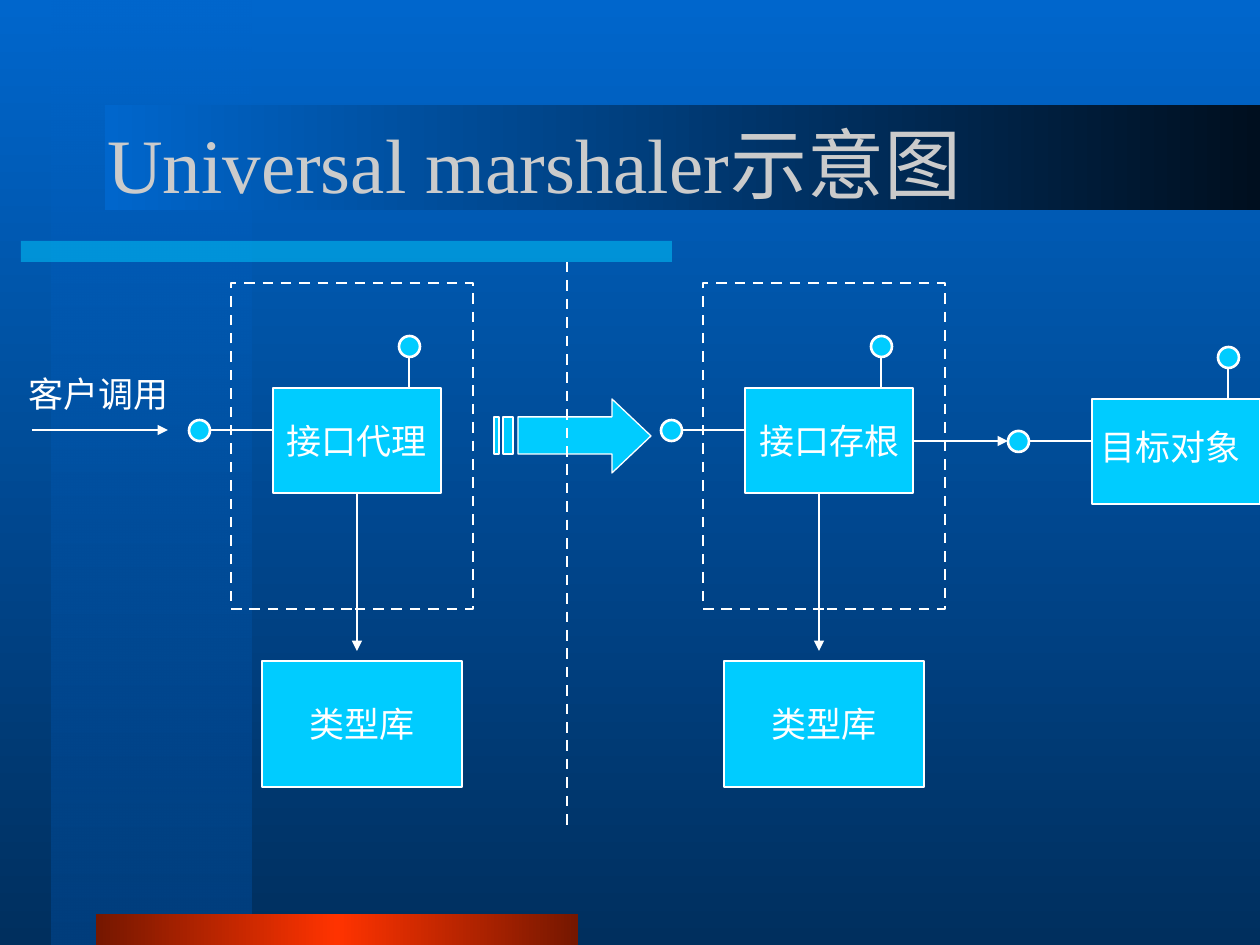
from lxml import etree
from pptx import Presentation
from pptx.dml.color import RGBColor
from pptx.enum.dml import MSO_LINE
from pptx.enum.shapes import MSO_CONNECTOR, MSO_SHAPE
from pptx.enum.text import MSO_ANCHOR, PP_ALIGN
from pptx.oxml.ns import qn
from pptx.util import Pt

RECTANGLE, OVAL = MSO_SHAPE.RECTANGLE, MSO_SHAPE.OVAL
STRAIGHT = MSO_CONNECTOR.STRAIGHT
DASH = MSO_LINE.DASH
MIDDLE = MSO_ANCHOR.MIDDLE
LEFT, CENTER = PP_ALIGN.LEFT, PP_ALIGN.CENTER

EMU_PER_PX = 914400 / 126
FONT = "Times New Roman"
COLORS = {
    "sky": "0066CC", "deep": "002F5E", "navy": "003E7D", "night": "000F1F",
    "cyan": "00CCFF", "red": "FF3300", "maroon": "751700",
    "white": "FFFFFF", "title": "CBCBCB",
}

BACKGROUND = ([(0, "sky", 100), (100, "deep", 100)], 90)
BANDS = [
    ((52, 0, 200, 945), [(0, "sky", 50), (100, "navy", 100)], 90),
    ((21, 241, 651, 21), [(0, "cyan", 50)], None),
    ((96, 914, 482, 31), [(0, "maroon", 100), (50, "red", 100), (100, "maroon", 100)], 180),
    ((105, 105, 1155, 105), [(0, "night", 100), (100, "sky", 100)], 180),
]
TITLE = ("Universal marshaler示意图", (95, 84, 1071, 158))
CALLER = ("客户调用", (4, 346, 190, 95))
COMPONENTS = [
    ("接口代理", (273, 388), (220, 388, 273, 105)),
    ("接口存根", (745, 388), (693, 388, 273, 105)),
    ("目标对象", (1092, 399), (1081, 399, 179, 95)),
]
COMPONENT_SIZE = (168, 105)
LIBRARY = "类型库"
LIBRARY_BOXES = [(262, 661, 200, 126), (724, 661, 200, 126)]
ARROWS = [
    ((32, 430), (168, 430)),
    ((913, 441), (1008, 441)),
    ((357, 493), (357, 651)),
    ((819, 493), (819, 651)),
]
PROCESS_FRAMES = [(231, 283, 242, 326), (703, 283, 242, 326)]
BOUNDARY = ((567, 262), (567, 829))
CALL_ARROW = [
    [(518, 417), (612, 417), (612, 399), (651, 436), (612, 473), (612, 454), (518, 454)],
    [(494, 417), (499, 417), (499, 454), (494, 454)],
    [(503, 417), (513, 417), (513, 454), (503, 454)],
]


def emu(values):
    return [round(value * EMU_PER_PX) for value in values]


def rgb(name):
    return RGBColor.from_string(COLORS[name])


def add_stop_color(parent, name, opacity):
    color = etree.SubElement(parent, qn("a:srgbClr"), val=COLORS[name])
    if opacity < 100:
        etree.SubElement(color, qn("a:alpha"), val=str(opacity * 1000))


def paint_gradient(fill, owner, stops, angle):
    fill.gradient()
    gradient = owner.find(".//" + qn("a:gradFill"))
    stop_list = gradient.find(qn("a:gsLst"))
    for stop in list(stop_list):
        stop_list.remove(stop)
    for position, name, opacity in stops:
        stop = etree.SubElement(stop_list, qn("a:gs"), pos=str(position * 1000))
        add_stop_color(stop, name, opacity)
    gradient.find(qn("a:lin")).set("ang", str(angle * 60000))


def add_band(slide, box, stops, angle):
    shape = slide.shapes.add_shape(RECTANGLE, *emu(box))
    shape.shadow.inherit = False
    shape.line.fill.background()
    if angle is not None:
        paint_gradient(shape.fill, shape.element.spPr, stops, angle)
        return
    shape.fill.solid()
    shape.fill.fore_color.rgb = rgb("white")
    solid = shape.element.spPr.find(qn("a:solidFill"))
    solid.remove(solid[0])
    add_stop_color(solid, *stops[0][1:])


def style_line(line, width, dashed=False):
    line.color.rgb = rgb("white")
    line.width = Pt(width)
    if dashed:
        line.dash_style = DASH


def style_shape(shape, width=0.75):
    shape.shadow.inherit = False
    shape.fill.solid()
    shape.fill.fore_color.rgb = rgb("cyan")
    style_line(shape.line, width)


def write_text(shape, text, size=20, color="white", align=CENTER, wrap=False):
    frame = shape.text_frame
    frame.word_wrap = wrap
    frame.vertical_anchor = MIDDLE
    paragraph = frame.paragraphs[0]
    paragraph.alignment = align
    run = paragraph.add_run()
    run.text = text
    run.font.name = FONT
    run.font.size = Pt(size)
    run.font.color.rgb = rgb(color)


def add_label(slide, text, box, **style):
    write_text(slide.shapes.add_textbox(*emu(box)), text, **style)


def add_line(slide, start, end, width=0.75, dashed=False, arrow=False):
    connector = slide.shapes.add_connector(STRAIGHT, *emu(start + end))
    style_line(connector.line, width, dashed)
    properties = connector.element.spPr
    if arrow:
        etree.SubElement(properties.find(qn("a:ln")), qn("a:tailEnd"), type="triangle")
    etree.SubElement(properties, qn("a:effectLst"))


def add_component(slide, text, corner, label_box):
    left, top = corner
    add_line(slide, (left - 63, top + 42), (left, top + 42))
    box = slide.shapes.add_shape(RECTANGLE, *emu(corner + COMPONENT_SIZE))
    style_shape(box)
    for x, y in [(left - 84, top + 32), (left + 126, top - 52)]:
        style_shape(slide.shapes.add_shape(OVAL, *emu((x, y, 21, 21))), 1.5)
    add_line(slide, (left + 136, top - 31), (left + 136, top))
    add_label(slide, text, label_box)


def add_call_arrow(slide):
    first, *stripes = CALL_ARROW
    builder = slide.shapes.build_freeform(*first[0], scale=EMU_PER_PX)
    builder.add_line_segments(first[1:], close=True)
    for stripe in stripes:
        builder.move_to(*stripe[0])
        builder.add_line_segments(stripe[1:], close=True)
    style_shape(builder.convert_to_shape())


def main():
    presentation = Presentation()
    presentation.slide_width, presentation.slide_height = emu((1260, 945))
    slide = presentation.slides.add_slide(presentation.slide_layouts[6])
    paint_gradient(slide.background.fill, slide.element, *BACKGROUND)
    for band in BANDS:
        add_band(slide, *band)
    add_label(slide, *TITLE, size=44, color="title", align=LEFT, wrap=True)
    add_label(slide, *CALLER)
    for component in COMPONENTS:
        add_component(slide, *component)
    for box in LIBRARY_BOXES:
        shape = slide.shapes.add_shape(RECTANGLE, *emu(box))
        style_shape(shape)
        write_text(shape, LIBRARY)
    add_call_arrow(slide)
    for start, end in ARROWS:
        add_line(slide, start, end, arrow=True)
    for box in PROCESS_FRAMES:
        frame = slide.shapes.add_shape(RECTANGLE, *emu(box))
        frame.shadow.inherit = False
        frame.fill.background()
        style_line(frame.line, 1.5, dashed=True)
    add_line(slide, *BOUNDARY, width=1.5, dashed=True)
    presentation.save("out.pptx")


if __name__ == "__main__":
    main()
